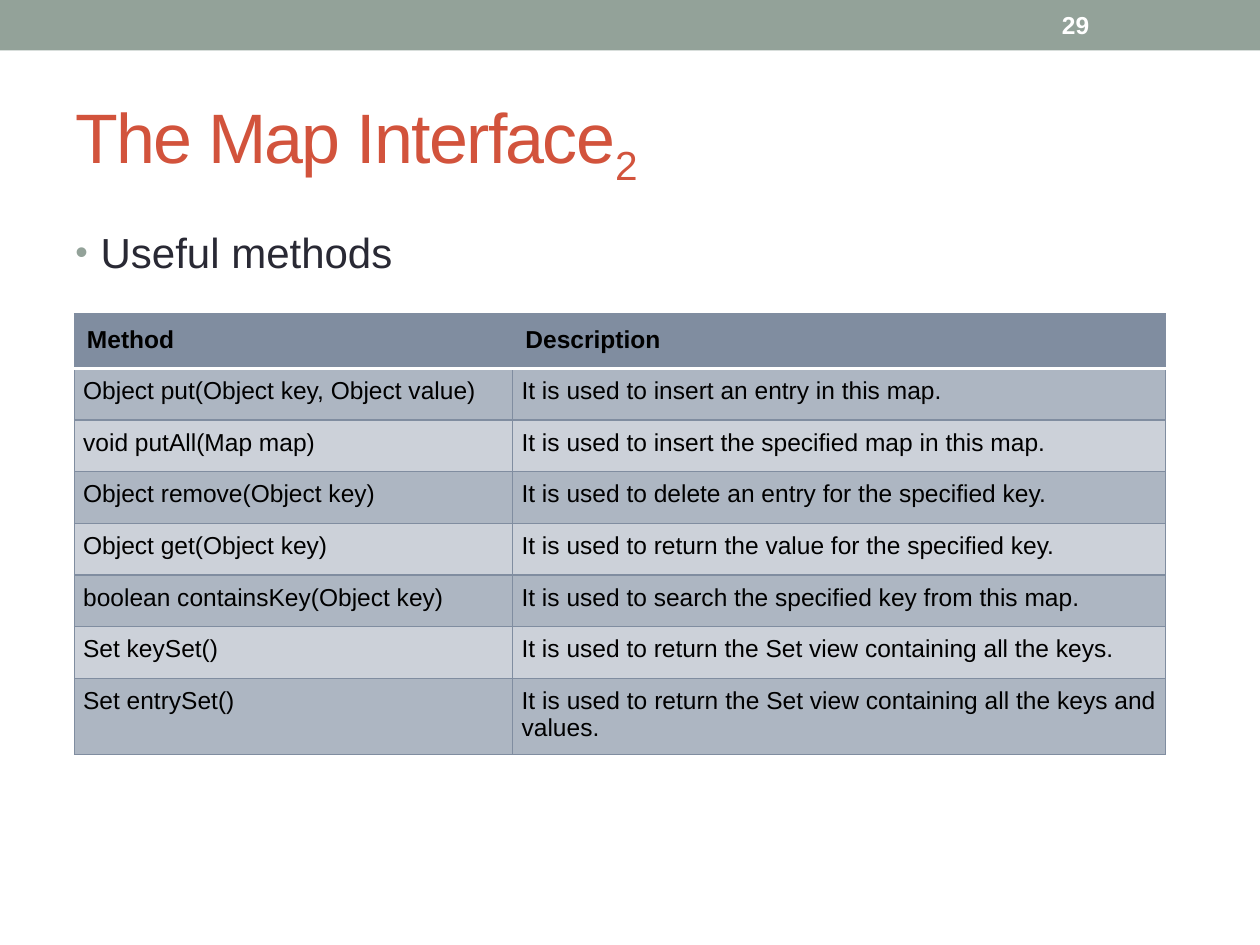
import pptx
import pptx.util
import pptx.oxml
import pptx.oxml.ns
import pptx.dml.color
import pptx.enum.shapes
import pptx.enum.text

Inches = pptx.util.Inches
Pt = pptx.util.Pt
Color = pptx.dml.color.RGBColor.from_string
Anchor = pptx.enum.text.MSO_ANCHOR
Align = pptx.enum.text.PP_ALIGN

theme = {
    "sage": "93A299",
    "slate": "808DA0",
    "white": "FFFFFF",
    "dark_row": "ADB6C2",
    "light_row": "CCD1D9",
    "title": {"name": "Arial", "size": Pt(40), "color": "D2533C"},
    "body": {"name": "Arial", "size": Pt(24), "color": "292934"},
    "number": {"name": "Arial", "size": Pt(14), "bold": True, "color": "FFFFFF"},
    "head": {"name": "Arial", "size": Pt(14), "bold": True, "color": "000000"},
    "cell": {"name": "Arial", "size": Pt(14), "bold": False, "color": "000000"},
}


def add_span(para, text, style):
    span = para.add_run()
    span.text = text
    for key, value in theme[style].items():
        if key == "color":
            span.font.color.rgb = Color(value)
        else:
            setattr(span.font, key, value)
    return span


def add_box(page, left, top, width, height, anchor):
    box = page.shapes.add_textbox(Inches(left), Inches(top), Inches(width), Inches(height))
    box.text_frame.word_wrap = True
    box.text_frame.vertical_anchor = anchor
    return box.text_frame.paragraphs[0]


deck = pptx.Presentation()
deck.slide_width = Inches(10)
deck.slide_height = Inches(7.5)
page = deck.slides.add_slide(deck.slide_layouts[6])

# Top band and page number
band = page.shapes.add_shape(
    pptx.enum.shapes.MSO_SHAPE.RECTANGLE, 0, 0, deck.slide_width, Inches(0.4))
band.shadow.inherit = False
band.fill.solid()
band.fill.fore_color.rgb = Color(theme["sage"])
band.line.fill.background()
add_span(add_box(page, 8.33, 0.02, 1.17, 0.36, Anchor.MIDDLE), "29", "number")

# Title with subscript
para = add_box(page, 0.5, 0.58, 9, 1.08, Anchor.MIDDLE)
for text, baseline in (("The Map Interface", 0), ("2", -25000)):
    properties = add_span(para, text, "title").font._element
    properties.set("spc", "-100")
    if baseline:
        properties.set("baseline", str(baseline))

# Bullet
para = add_box(page, 0.5, 1.75, 9, 0.6, Anchor.TOP)
properties = para._p.get_or_add_pPr()
properties.set("marL", str(Inches(0.2)))
properties.set("indent", str(Inches(-0.2)))
namespace = pptx.oxml.ns.nsdecls("a")
for bullet in (
    f'<a:buClr {namespace}><a:srgbClr val="{theme["sage"]}"/></a:buClr>',
    f'<a:buSzPct {namespace} val="85000"/>',
    f'<a:buFont {namespace} typeface="Arial"/>',
    f'<a:buChar {namespace} char="•"/>',
):
    properties.append(pptx.oxml.parse_xml(bullet))
add_span(para, "Useful methods", "body")

# Table of methods
methods = [
    ("Method", "Description"),
    ("Object put(Object key, Object value)", "It is used to insert an entry in this map."),
    ("void putAll(Map map)", "It is used to insert the specified map in this map."),
    ("Object remove(Object key)", "It is used to delete an entry for the specified key."),
    ("Object get(Object key)", "It is used to return the value for the specified key."),
    ("boolean containsKey(Object key)", "It is used to search the specified key from this map."),
    ("Set keySet()", "It is used to return the Set view containing all the keys."),
    ("Set entrySet()", "It is used to return the Set view containing all the keys and values."),
]
row_height = 0.41
table = page.shapes.add_table(
    len(methods), 2, Inches(0.59), Inches(2.49),
    Inches(8.66), Inches(row_height * len(methods))).table
for column, width in zip(table.columns, (3.48, 5.18)):
    column.width = Inches(width)

for row, texts in enumerate(methods):
    table.rows[row].height = Inches(row_height)
    header = row == 0
    if header:
        fill = theme["slate"]
    else:
        fill = theme["dark_row"] if row % 2 else theme["light_row"]
    for column, text in enumerate(texts):
        cell = table.cell(row, column)
        inset = Inches(0.1 if header else 0.07)
        for side in ("left", "right", "top", "bottom"):
            setattr(cell, f"margin_{side}", inset)
        para = cell.text_frame.paragraphs[0]
        para.alignment = Align.LEFT if header else Align.JUSTIFY
        add_span(para, text, "head" if header else "cell")

        # Borders, with a white rule below the header
        for side in "LRTB":
            rule = (row, side) in ((0, "B"), (1, "T"))
            color = theme["white"] if rule else theme["slate"]
            line_width = Pt(2.08 if rule else 0.75)
            cell._tc.get_or_add_tcPr().append(pptx.oxml.parse_xml(
                f'<a:ln{side} {namespace} w="{line_width}"><a:solidFill>'
                f'<a:srgbClr val="{color}"/></a:solidFill></a:ln{side}>'))
        cell.fill.solid()
        cell.fill.fore_color.rgb = Color(fill)

deck.save("out.pptx")
